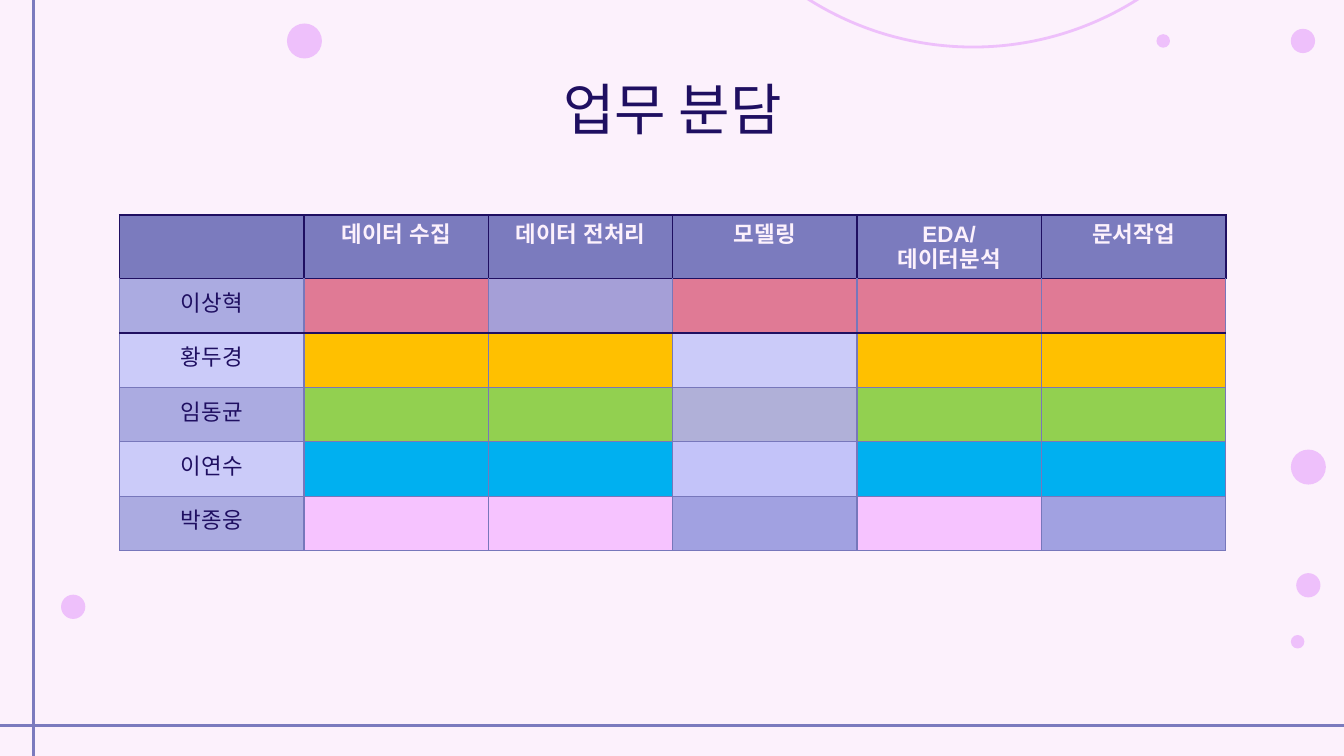
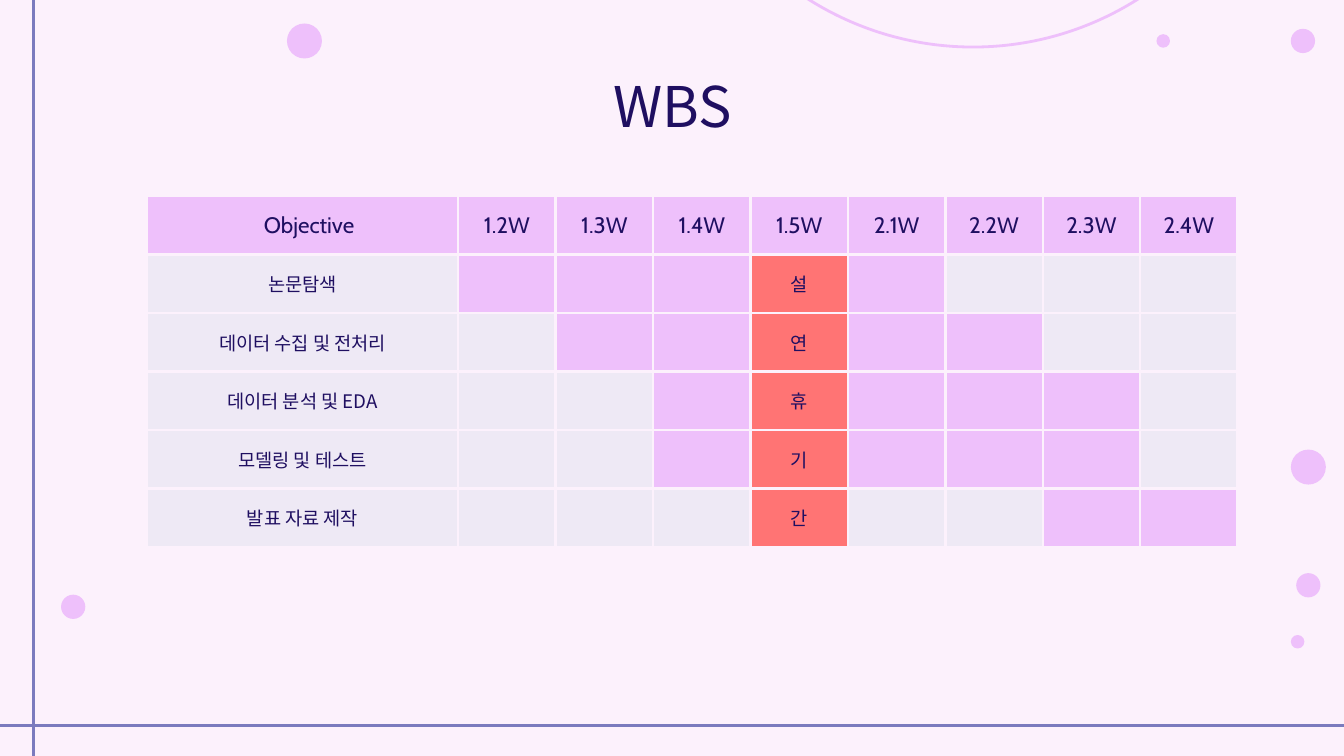
from dataclasses import dataclass

from lxml import etree
from pptx import Presentation
from pptx import util as u
from pptx.dml.color import RGBColor
from pptx.enum import shapes, text
from pptx.oxml import ns

WIDTH, HEIGHT = u.Inches(10), u.Inches(5.625)


@dataclass(frozen=True)
class Theme:
    """Colours, fonts and type sizes shared by the slides."""
    paper: str = "FCF1FC"
    ink: str = "1F0F61"
    violet: str = "7B7BBE"
    grid: str = "7777BB"
    pink: str = "EEC0FB"
    lilac: str = "CBCBF9"
    idle: str = "EEE9F5"
    holiday: str = "FF7474"
    sans: str = "Noto Sans CJK KR"
    bold_sans: str = "Arial"
    latin: str = "Cabin"
    title: int = 30
    label: int = 12
    small: int = 10


T = Theme()


def box(left, top, width, height):
    """Turn percentages of the slide into lengths."""
    return (round(WIDTH * left / 100), round(HEIGHT * top / 100),
            round(WIDTH * width / 100), round(HEIGHT * height / 100))


def blend(color, base=T.lilac, share=0.4):
    """Mix a share of a colour into a base colour."""
    pairs = zip(RGBColor.from_string(color), RGBColor.from_string(base))
    return str(RGBColor(*(round(c * share + b * (1 - share)) for c, b in pairs)))


def write(tf, content, size=T.label, font=T.sans, color=T.ink, bold=False):
    """Fill a text frame with centred paragraphs, one per line."""
    for i, line in enumerate(content.split("\n")):
        p = tf.paragraphs[0] if i == 0 else tf.add_paragraph()
        p.alignment = text.PP_ALIGN.CENTER
        r = p.add_run()
        r.text = line
        r.font.size, r.font.bold, r.font.name = u.Pt(size), bold, font
        r.font.color.rgb = RGBColor.from_string(color)
        if font != T.latin:
            etree.SubElement(r.font._element, ns.qn("a:ea"), typeface=font)


def add_circle(s, bounds, width, fill=None):
    """Add an outlined circle, filled if a colour is given."""
    sp = s.shapes.add_shape(shapes.MSO_SHAPE.OVAL, *bounds)
    sp.shadow.inherit = False
    sp.line.color.rgb = RGBColor.from_string(T.pink)
    sp.line.width = u.Pt(width)
    if fill:
        sp.fill.solid()
        sp.fill.fore_color.rgb = RGBColor.from_string(fill)
    else:
        sp.fill.background()
    return sp


def add_rule(s, x1, y1, x2, y2):
    """Add a violet line between two points given in percent."""
    start, end = box(x1, y1, 0, 0)[:2], box(x2, y2, 0, 0)[:2]
    line = s.shapes.add_connector(shapes.MSO_CONNECTOR.STRAIGHT, *start, *end)
    line.line.color.rgb = RGBColor.from_string(T.violet)
    line.line.width = u.Pt(1.5)
    etree.SubElement(line.element.spPr, ns.qn("a:effectLst"))
    return line


def decorate(layout, s):
    """Draw the background, arc, rules and dots and move them to the layout."""
    layout.background.fill.solid()
    layout.background.fill.fore_color.rgb = RGBColor.from_string(T.paper)
    for ph in list(layout.placeholders):
        if ph.placeholder_format.idx != 0:
            ph.element.getparent().remove(ph.element)
    parts = [add_circle(s, box(49.5, -75.2, 45.8, 81.42), 1.5),
             add_rule(s, 2.5, 0, 2.5, 100), add_rule(s, 100, 96, 0, 96)]
    dots = [(96.1, 59.56, 2.5), (96.5, 75.91, 1.7), (86.1, 4.62, 0.9),
            (96.1, 3.91, 1.7), (21.4, 3.2, 2.5), (4.6, 78.76, 1.7),
            (96.1, 84.09, 0.9)]
    for x, y, size in dots:
        bounds = box(x, y, size, size * WIDTH / HEIGHT)
        parts.append(add_circle(s, bounds, 0.75, T.pink))
    for part in parts:
        layout.shapes.element.append(part.element)


def add_title(s, bounds, title):
    """Place and format the title placeholder."""
    sp = s.shapes.title
    sp.left, sp.top, sp.width, sp.height = bounds
    tf = sp.text_frame
    tf.margin_left = tf.margin_right = tf.margin_top = tf.margin_bottom = u.Inches(0.1)
    tf.vertical_anchor = text.MSO_ANCHOR.MIDDLE
    tf.auto_size = text.MSO_AUTO_SIZE.NONE
    tf.word_wrap = True
    write(tf, title, size=T.title)


def add_grid(s, bounds, rows, first_share):
    """Add a plain table whose first column takes a share of the width."""
    left, top, width, height = bounds
    cols = len(rows[0])
    table = s.shapes.add_table(len(rows), cols, *bounds).table
    table.first_row = table.horz_banding = False
    first = round(width * first_share)
    for i, column in enumerate(table.columns):
        column.width = first if i == 0 else (width - first) // (cols - 1)
    for row in table.rows:
        row.height = height // len(rows)
    return table


def style_cell(cell, fill, margins, **borders):
    """Set the insets, the four borders and the fill of a cell."""
    cell.margin_left, cell.margin_top, cell.margin_right, cell.margin_bottom = (
        u.Inches(m) for m in margins)
    tc_pr = cell._tc.get_or_add_tcPr()
    for side in "LRTB":
        color, width = borders.get(side, borders["every"])
        ln = etree.SubElement(tc_pr, ns.qn(f"a:ln{side}"), w=str(u.Pt(width)))
        solid = etree.SubElement(ln, ns.qn("a:solidFill"))
        etree.SubElement(solid, ns.qn("a:srgbClr"), val=color)
    cell.fill.solid()
    cell.fill.fore_color.rgb = RGBColor.from_string(fill)


def add_duties(s, bounds):
    """Add the table of who does which task."""
    header = ["", "데이터 수집", "데이터 전처리", "모델링", "EDA/\n데이터분석", "문서작업"]
    members = [("이상혁", blend("FF0000"), blend("6B5DA3"), "10111"),
               ("황두경", "FFC000", T.lilac, "11011"),
               ("임동균", "92D050", "B0B0D8", "11011"),
               ("이연수", "00B0F0", "C3C3F9", "11011"),
               ("박종웅", "F6C3FF", "A1A1E1", "11010")]
    rows = [header] + [[m[0]] + [""] * 5 for m in members]
    table = add_grid(s, bounds, rows, 1 / 6)
    dark, light = (T.ink, 1), (T.grid, 0.75)
    for i, row in enumerate(rows):
        for j, label in enumerate(row):
            cell = table.cell(i, j)
            borders = {"every": light}
            if i == 0:
                fill, borders = T.violet, {"every": dark}
            else:
                name, active, idle, tasks = members[i - 1]
                if j == 0:
                    fill = blend(T.violet) if i % 2 else T.lilac
                else:
                    fill = active if tasks[j - 1] == "1" else idle
            if i == 1:
                borders.update(T=dark, B=dark)
            if i == 2:
                borders.update(T=dark)
            margins = (0.1, 0.05, 0.1, 0.05) if label else (0, 0, 0, 0)
            style_cell(cell, fill, margins, **borders)
            if label and i == 0:
                write(cell.text_frame, label, font=T.bold_sans, color=T.paper, bold=True)
            elif label:
                write(cell.text_frame, label)


def add_schedule(s, bounds):
    """Add the weekly schedule with its holiday column."""
    weeks = ["1.2W", "1.3W", "1.4W", "1.5W", "2.1W", "2.2W", "2.3W", "2.4W"]
    tasks = [("논문탐색", "111설1000"), ("데이터 수집 및 전처리", "011연1100"),
             ("데이터 분석 및 EDA", "001휴1110"), ("모델링 및 테스트", "001기1110"),
             ("발표 자료 제작", "000간0011")]
    rows = [["Objective"] + weeks] + [[name, *marks] for name, marks in tasks]
    table = add_grid(s, bounds, rows, 2.32 / 8.12)
    fills = {"0": T.idle, "1": T.pink}
    for i, row in enumerate(rows):
        for j, mark in enumerate(row):
            cell = table.cell(i, j)
            cell.vertical_anchor = text.MSO_ANCHOR.MIDDLE
            margins = (0, 0, 0, 0)
            if i == 0:
                fill = T.pink
                margins = (0 if j else 0.1, 0, 0, 0)
            elif j == 0:
                fill, margins = T.idle, (0.05,) * 4
            else:
                fill = fills.get(mark, T.holiday)
            style_cell(cell, fill, margins, every=(T.paper, 1.5))
            if i == 0:
                write(cell.text_frame, mark, font=T.latin)
            elif mark not in fills:
                write(cell.text_frame, mark, size=T.small)


def main():
    """Build both slides and save the deck."""
    prs = Presentation()
    prs.slide_width, prs.slide_height = WIDTH, HEIGHT
    layout = prs.slide_layouts[5]
    duties = prs.slides.add_slide(layout)
    decorate(layout, duties)
    add_title(duties, box(7.9, 8.71, 84.3, 11.2), "업무 분담")
    add_duties(duties, box(8.9, 28.44, 82.3, 43.2))
    schedule = prs.slides.add_slide(layout)
    add_title(schedule, box(7.9, 8.36, 84.3, 11.2), "WBS")
    add_schedule(schedule, box(10.9, 25.96, 81.2, 46.4))
    prs.save("out.pptx")


if __name__ == "__main__":
    main()
